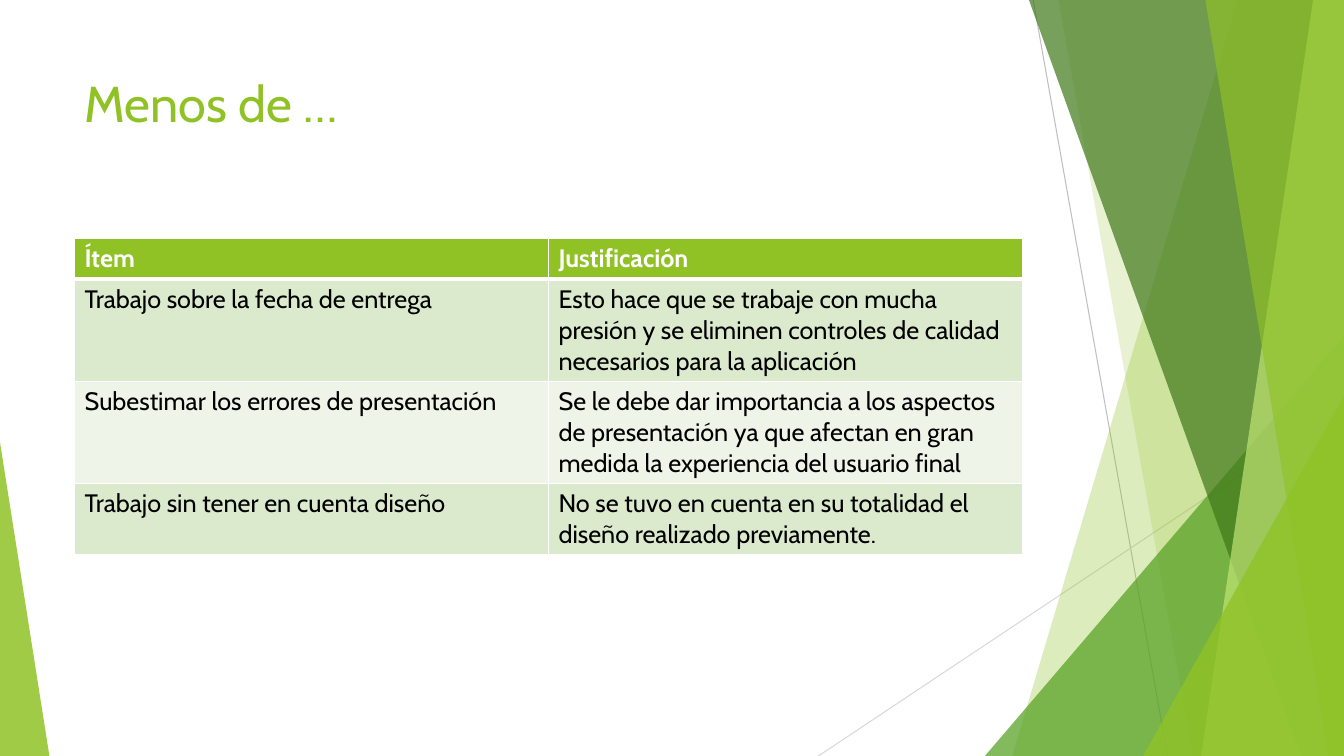
from dataclasses import dataclass

from lxml import etree
from pptx import Presentation
from pptx.dml.color import RGBColor
from pptx.enum.shapes import MSO_CONNECTOR, MSO_SHAPE
from pptx.enum.text import MSO_ANCHOR
from pptx.oxml.ns import qn
from pptx.util import Pt

STRAIGHT = MSO_CONNECTOR.STRAIGHT
TRIANGLE = MSO_SHAPE.ISOSCELES_TRIANGLE
TOP = MSO_ANCHOR.TOP

WIDTH, HEIGHT = 960, 540
FONT = "Cabin"
COLORS = {
    "lime": "90C226",
    "pale_lime": "C0E474",
    "green": "54A021",
    "forest": "3F7819",
    "gray": "BFBFBF",
    "light_gray": "D9D9D9",
    "band_dark": "DBE9CD",
    "band_light": "EEF4E8",
    "white": "FFFFFF",
    "black": "000000",
}


@dataclass
class Ray:
    x1: float
    y1: float
    x2: float
    y2: float
    color: str


@dataclass
class Band:
    top_x: float
    bottom_x: float
    color: str
    opacity: int


@dataclass
class Wedge:
    left: float
    top: float
    width: float
    apex: int
    color: str
    opacity: int


@dataclass
class Row:
    item: str
    reason: str
    height: float
    fill: str
    text_color: str = "black"
    bold: bool = False


RAYS = [
    Ray(738, 0, 834, 540, "gray"),
    Ray(960, 290, 584.6, 540, "light_gray"),
]
FACETS = [
    Band(884, 723, "lime", 30),
    Band(756, 852, "lime", 20),
    Wedge(703.5, 240, 256.5, 1, "green", 72),
    Band(735, 929.5, "forest", 70),
    Band(938, 858, "pale_lime", 70),
    Band(861, 949, "lime", 65),
    Wedge(816.5, 283, 143.5, 1, "lime", 80),
    Wedge(0, 316, 35.3, 0, "lime", 85),
]
ROWS = [
    Row("Ítem", "Justificación", 29.2, "lime", "white", True),
    Row("Trabajo sobre la fecha de entrega",
        "Esto hace que se trabaje con mucha presión y se eliminen controles "
        "de calidad necesarios para la aplicación", 73, "band_dark"),
    Row("Subestimar los errores de presentación",
        "Se le debe dar importancia a los aspectos de presentación ya que "
        "afectan en gran medida la experiencia del usuario final", 73, "band_light"),
    Row("Trabajo sin tener en cuenta diseño",
        "No se tuvo en cuenta en su totalidad el diseño realizado previamente.",
        51, "band_dark"),
]


def rgb(color: str) -> RGBColor:
    return RGBColor.from_string(COLORS[color])


def draw_ray(slide, ray: Ray) -> None:
    line = slide.shapes.add_connector(
        STRAIGHT, Pt(ray.x1), Pt(ray.y1), Pt(ray.x2), Pt(ray.y2))
    line.line.width = Pt(0.75)
    line.line.color.rgb = rgb(ray.color)
    etree.SubElement(line.element.spPr, qn("a:effectLst"))


def draw_facet(slide, facet: Band | Wedge) -> None:
    if isinstance(facet, Band):
        outline = slide.shapes.build_freeform(Pt(facet.top_x), 0)
        corners = [(WIDTH, 0), (WIDTH, HEIGHT), (facet.bottom_x, HEIGHT)]
        outline.add_line_segments([(Pt(x), Pt(y)) for x, y in corners])
        shape = outline.convert_to_shape()
    else:
        shape = slide.shapes.add_shape(
            TRIANGLE, Pt(facet.left), Pt(facet.top),
            Pt(facet.width), Pt(HEIGHT - facet.top))
        shape.adjustments[0] = facet.apex
    shape.shadow.inherit = False
    shape.line.fill.background()
    shape.fill.solid()
    shape.fill.fore_color.rgb = rgb(facet.color)
    tint = shape.element.spPr.find(qn("a:solidFill")).find(qn("a:srgbClr"))
    etree.SubElement(tint, qn("a:alpha"), val=str(facet.opacity * 1000))


def write(frame, text: str, size: float, color: str, bold: bool = False) -> None:
    run = frame.paragraphs[0].add_run()
    run.text = text
    for attribute, value in {"name": FONT, "size": Pt(size), "bold": bold}.items():
        setattr(run.font, attribute, value)
    run.font.color.rgb = rgb(color)


def draw_title(slide, text: str) -> None:
    title = slide.shapes.add_textbox(Pt(53.3), Pt(48), Pt(677), Pt(104))
    for attribute, value in {"word_wrap": True, "vertical_anchor": TOP}.items():
        setattr(title.text_frame, attribute, value)
    write(title.text_frame, text, 36, "lime")


def set_borders(cell, widths: dict[str, float]) -> None:
    properties = cell._tc.get_or_add_tcPr()
    for position, (side, width) in enumerate(widths.items()):
        border = etree.Element(qn(f"a:{side}"), w=str(Pt(width)))
        fill = etree.SubElement(border, qn("a:solidFill"))
        etree.SubElement(fill, qn("a:srgbClr"), val=COLORS["white"])
        properties.insert(position, border)


def draw_table(slide, rows: list[Row]) -> None:
    total = sum(row.height for row in rows)
    table = slide.shapes.add_table(
        len(rows), 2, Pt(53.3), Pt(170.2), Pt(677), Pt(total)).table
    for index, row in enumerate(rows):
        table.rows[index].height = Pt(row.height)
        widths = {"lnL": 1, "lnR": 1,
                  "lnT": 3 if index == 1 else 1, "lnB": 3 if index == 0 else 1}
        for column, text in enumerate((row.item, row.reason)):
            cell = table.cell(index, column)
            cell.fill.solid()
            cell.fill.fore_color.rgb = rgb(row.fill)
            write(cell.text_frame, text, 18, row.text_color, row.bold)
            set_borders(cell, widths)


def main() -> None:
    presentation = Presentation()
    presentation.slide_width, presentation.slide_height = Pt(WIDTH), Pt(HEIGHT)
    slide = presentation.slides.add_slide(presentation.slide_layouts[6])
    for ray in RAYS:
        draw_ray(slide, ray)
    for facet in FACETS:
        draw_facet(slide, facet)
    draw_title(slide, "Menos de …")
    draw_table(slide, ROWS)
    presentation.save("out.pptx")


if __name__ == "__main__":
    main()
